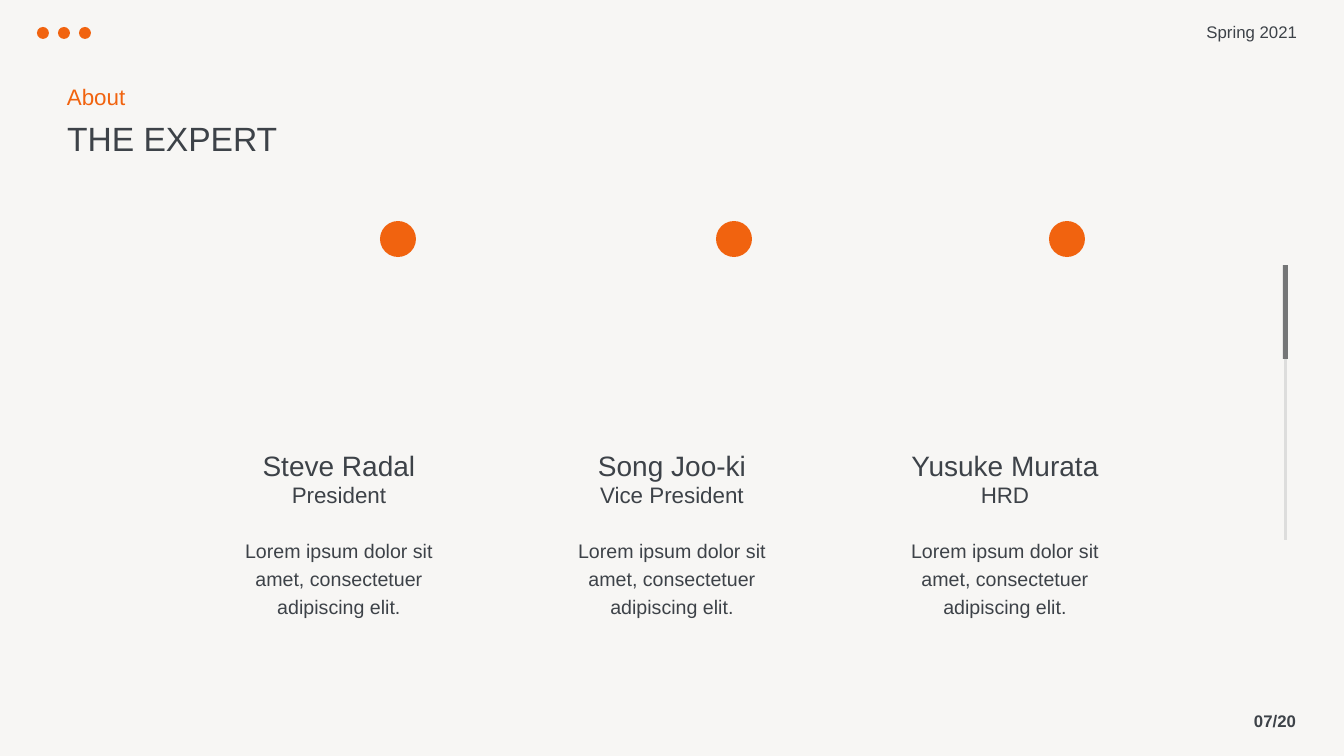
from dataclasses import dataclass

from lxml.etree import SubElement
from pptx import Presentation
from pptx.dml.color import RGBColor
from pptx.enum.shapes import MSO_CONNECTOR, MSO_SHAPE
from pptx.enum.text import MSO_ANCHOR as ANCHOR, MSO_AUTO_SIZE as FIT, PP_ALIGN as ALIGN
from pptx.oxml.ns import qn
from pptx.util import Emu, Pt

EMU_PER_PX = 914400 / 100.8
FONT = "Arial"
INK, ORANGE, PAPER = "3D4248", "F1630F", "F7F6F4"
TRACK, THUMB = "DDDDDC", "757677"
COLUMN_LEFT, COLUMN_STEP, COLUMN_WIDTH = 209, 333, 260
BIO = "Lorem ipsum dolor sit amet, consectetuer adipiscing elit."


@dataclass(frozen=True)
class Box:
    left: int
    top: int
    width: int
    height: int


@dataclass(frozen=True)
class Expert:
    name: str
    role: str
    dot_left: int


EXPERTS = [
    Expert("Steve Radal", "President", 380),
    Expert("Song Joo-ki", "Vice President", 716),
    Expert("Yusuke Murata", "HRD", 1049),
]


def px(length: int) -> Emu:
    return Emu(round(length * EMU_PER_PX))


def place(box: Box) -> tuple[Emu, Emu, Emu, Emu]:
    return px(box.left), px(box.top), px(box.width), px(box.height)


def rgb(color: str) -> RGBColor:
    return RGBColor.from_string(color)


def write(sp, text: str, *, size: int, color: str = INK, bold: bool = False,
          align=ALIGN.LEFT, anchor=ANCHOR.TOP, fit=FIT.SHAPE_TO_FIT_TEXT,
          spacing: float = 1.0) -> None:
    tf = sp.text_frame
    tf.word_wrap = True
    tf.auto_size = fit
    tf.vertical_anchor = anchor
    p = tf.paragraphs[0]
    p.alignment = align
    p.line_spacing = spacing
    r = p.add_run()
    r.text = text
    r.font.name = FONT
    r.font.size = Pt(size)
    r.font.bold = bold
    r.font.color.rgb = rgb(color)


def add_text(s, box: Box, text: str, **style) -> None:
    write(s.shapes.add_textbox(*place(box)), text, **style)


def add_filled(shapes, kind, box: Box, color: str):
    sp = shapes.add_shape(kind, *place(box))
    sp.shadow.inherit = False
    sp.fill.solid()
    sp.fill.fore_color.rgb = rgb(color)
    sp.line.fill.background()
    return sp


def add_header(s) -> None:
    title = s.shapes.title
    title.left, title.top, title.width, title.height = place(Box(57, 113, 536, 50))
    write(title, "THE EXPERT", size=24, anchor=ANCHOR.BOTTOM)
    add_text(s, Box(57, 78, 358, 37), "About", size=16, color=ORANGE)
    corner = dict(size=12, align=ALIGN.RIGHT, anchor=ANCHOR.MIDDLE, fit=FIT.NONE)
    add_text(s, Box(1148, 12, 159, 40), "Spring 2021", **corner)
    add_text(s, Box(1004, 701, 302, 40), "07/20", bold=True, **corner)
    dots = s.shapes.add_group_shape()
    for i in range(3):
        add_filled(dots.shapes, MSO_SHAPE.OVAL, Box(37 + 21 * i, 27, 12, 12), ORANGE)


def add_expert(s, expert: Expert, left: int) -> None:
    add_text(s, Box(left, 529, COLUMN_WIDTH, 94), BIO,
             size=14, align=ALIGN.CENTER, spacing=1.2)
    add_text(s, Box(left, 476, COLUMN_WIDTH, 37), expert.role,
             size=16, align=ALIGN.CENTER)
    add_text(s, Box(left, 443, COLUMN_WIDTH, 44), expert.name,
             size=20, align=ALIGN.CENTER, anchor=ANCHOR.BOTTOM)
    add_filled(s.shapes, MSO_SHAPE.OVAL, Box(expert.dot_left, 221, 36, 36), ORANGE)


def add_scrollbar(s) -> None:
    thumb = add_filled(s.shapes, MSO_SHAPE.RECTANGLE, Box(1283, 265, 5, 94), THUMB)
    x = thumb.left + thumb.width // 2
    track = s.shapes.add_connector(MSO_CONNECTOR.STRAIGHT, x, px(359), x, px(540))
    track.begin_connect(thumb, 2)
    track.line.color.rgb = rgb(TRACK)
    track.line.width = Pt(1.5)
    SubElement(track._element.spPr, qn("a:effectLst"))


def main() -> None:
    prs = Presentation()
    prs.slide_width, prs.slide_height = px(1344), px(756)
    s = prs.slides.add_slide(prs.slide_layouts[5])
    s.background.fill.solid()
    s.background.fill.fore_color.rgb = rgb(PAPER)
    add_header(s)
    for i, expert in enumerate(EXPERTS):
        add_expert(s, expert, COLUMN_LEFT + COLUMN_STEP * i)
    add_scrollbar(s)
    prs.save("out.pptx")


if __name__ == "__main__":
    main()
